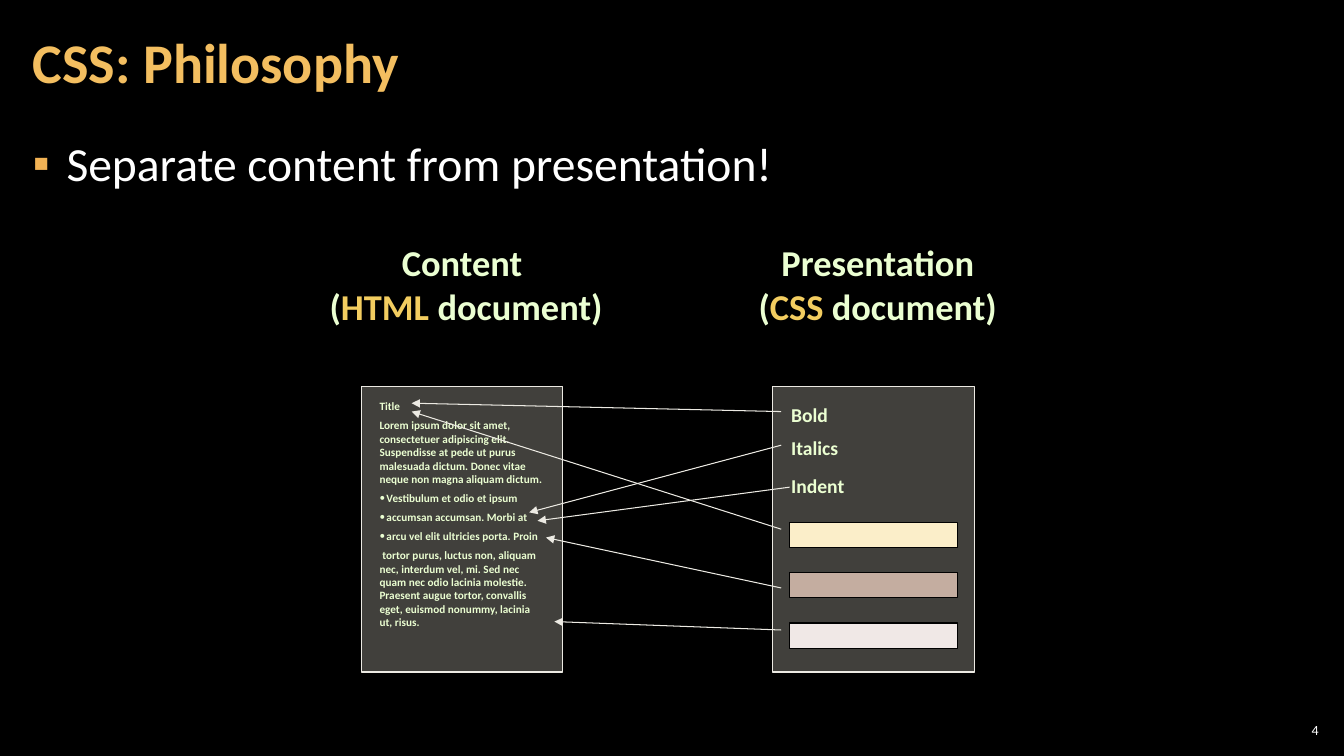
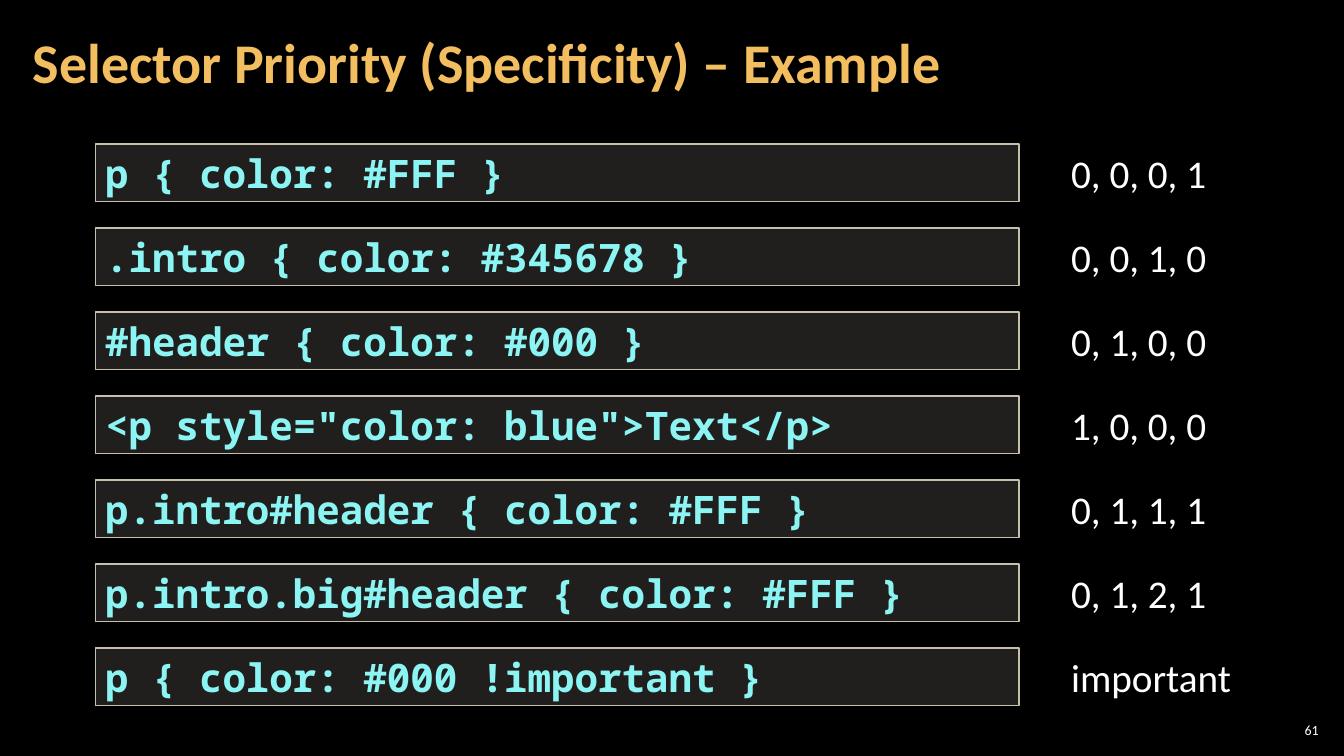
from pptx import Presentation
from pptx.dml.color import RGBColor
from pptx.enum.shapes import MSO_CONNECTOR, MSO_SHAPE
from pptx.enum.text import MSO_ANCHOR, PP_ALIGN
from pptx.oxml.ns import qn
from pptx.util import Pt
from lxml.etree import SubElement

INK = {
    "back": "000000", "title": "F3BE60", "bullet": "F2B254", "white": "FFFFFF",
    "label": "EBFFD2", "accent": "F3CD60", "panel": "D9D5C7", "edge": "ECEAE3",
    "code": "8CF4F2", "frame": "C7BFAC",
    "cream": "FBEEC9", "tan": "C4ADA0", "pale": "F0E8E6",
}
SANS, MONO = "Calibri", "Noto Sans Mono"

LOREM = [
    ("Title", 0, 0, None),
    ("Lorem ipsum dolor sit amet, consectetuer adipiscing elit. Suspendisse at pede "
     "ut purus malesuada dictum. Donec vitae neque non magna aliquam dictum.", 0, 0, None),
    ("Vestibulum et odio et ipsum", 5, -5, "•"),
    ("accumsan accumsan. Morbi at", 5, -5, "•"),
    ("arcu vel elit ultricies porta. Proin", 5, -5, "•"),
    ("tortor purus, luctus non, aliquam nec, interdum vel, mi. Sed nec quam nec odio "
     "lacinia molestie. Praesent augue tortor, convallis eget, euismod nonummy, "
     "lacinia ut, risus.", 0, 2, None),
]
LABELS = [("Bold", 8), ("Italics", 32), ("Indent", 59)]
BARS = ["cream", "tan", "pale"]
ARROWS = [
    (300, 18, 36, 12), (300, 42, 120, 90), (306, 72, 126, 96),
    (300, 102, 36, 18), (300, 144, 132, 108), (300, 174, 138, 168),
]
RULES = [
    ("p { color: #FFF }", "0, 0, 0, 1"),
    (".intro { color: #345678 }", "0, 0, 1, 0"),
    ("#header { color: #000 }", "0, 1, 0, 0"),
    ('<p style="color: blue">Text</p>', "1, 0, 0, 0"),
    ("p.intro#header { color: #FFF }", "0, 1, 1, 1"),
    ("p.intro.big#header { color: #FFF }", "0, 1, 2, 1"),
    ("p { color: #000 !important }", "important"),
]


def rgb(name):
    return RGBColor.from_string(INK[name])


def style(frame, size, color, bold=False, font=SANS, align=PP_ALIGN.LEFT):
    for para in frame.paragraphs:
        para.alignment = align
        for run in para.runs:
            run.font.size = Pt(size)
            run.font.name = font
            run.font.bold = bold
            run.font.color.rgb = rgb(color)


def pad(frame, side, edge):
    frame.margin_left = frame.margin_right = Pt(side)
    frame.margin_top = frame.margin_bottom = Pt(edge)


def place(shape, left, top, width, height):
    shape.left, shape.top = Pt(left), Pt(top)
    shape.width, shape.height = Pt(width), Pt(height)


def indent(para, left, first, mark=None, color=None):
    props = para._p.get_or_add_pPr()
    props.set("marL", str(Pt(left)))
    props.set("indent", str(Pt(first)))
    if color:
        tint = SubElement(props, qn("a:buClr"))
        SubElement(tint, qn("a:srgbClr"), val=INK[color])
    if mark:
        SubElement(props, qn("a:buFont"), typeface=SANS)
        SubElement(props, qn("a:buChar"), char=mark)


def note(slide, box, text, size, color, **look):
    shape = slide.shapes.add_textbox(*map(Pt, box))
    frame = shape.text_frame
    frame.word_wrap = True
    frame.text = text
    style(frame, size, color, **look)
    return frame


def panel(slide, box, fill, line, width=0.75, alpha=None):
    shape = slide.shapes.add_shape(MSO_SHAPE.RECTANGLE, *map(Pt, box))
    shape.shadow.inherit = False
    shape.fill.solid()
    shape.fill.fore_color.rgb = rgb(fill)
    if alpha:
        tint = shape._element.spPr.find(qn("a:solidFill")).find(qn("a:srgbClr"))
        SubElement(tint, qn("a:alpha"), val=str(alpha * 1000))
    shape.line.color.rgb = rgb(line)
    shape.line.width = Pt(width)
    return shape


def arrow(slide, start, end):
    line = slide.shapes.add_connector(MSO_CONNECTOR.STRAIGHT, *map(Pt, start + end))
    line.line.color.rgb = rgb("edge")
    line.line.width = Pt(0.75)
    props = line._element.spPr
    SubElement(props.find(qn("a:ln")), qn("a:tailEnd"), type="triangle")
    SubElement(props, qn("a:effectLst"))


def base(deck, layout, title, number):
    slide = deck.slides.add_slide(deck.slide_layouts[layout])
    head = slide.shapes.title
    place(head, 15, 3, 754, 87)
    frame = head.text_frame
    frame.text = title
    frame.vertical_anchor = MSO_ANCHOR.MIDDLE
    frame.paragraphs[0].line_spacing = 0.9
    pad(frame, 8.5, 3)
    style(frame, 40, "title", bold=True)
    page = note(slide, (911, 514, 34, 15), number, 10, "white", align=PP_ALIGN.RIGHT)
    page.vertical_anchor = MSO_ANCHOR.MIDDLE
    pad(page, 3, 3)
    return slide


def points(slide, box, text):
    body = slide.placeholders[1]
    place(body, *box)
    frame = body.text_frame
    frame.text = text
    pad(frame, 8.5, 3)
    style(frame, 34, "white")
    for para in frame.paragraphs:
        para.line_spacing = 1.05
        para.space_before = para.space_after = Pt(6)
        indent(para, 24, -24, "▪", "bullet")


def sheet(slide, box, head, kind, tail):
    left, top, width, height = box
    panel(slide, box, "panel", "edge", alpha=30)
    frame = note(slide, (left - 31, top - 108, width + 68, 70), head, 26, "label")
    frame.word_wrap = False
    para = frame.add_paragraph()
    for part in ("(", kind, tail):
        para.add_run().text = part
    style(frame, 26, "label", bold=True, align=PP_ALIGN.CENTER)
    para.runs[1].font.color.rgb = rgb("accent")


def content(slide, box):
    left, top, width, height = box
    sheet(slide, box, "Content ", "HTML", " document)")
    text = "\n".join(row[0] for row in LOREM)
    frame = note(slide, (left + 6, top + 6, width - 12, 177), text, 8, "label", bold=True)
    for spot, (para, row) in enumerate(zip(frame.paragraphs, LOREM)):
        para.space_before = Pt(4 if spot else 0)
        indent(para, *row[1:])


def looks(slide, box):
    left, top, width, height = box
    sheet(slide, box, "Presentation", "CSS ", "document)")
    for spot, color in enumerate(BARS):
        panel(slide, (left + 12, top + 97 + 36 * spot, 120, 18), color, "back")
    for text, drop in LABELS:
        note(slide, (left + 6, top + drop, 80, 24), text, 14, "label", bold=True)


def split(slide, left, top):
    content(slide, (left, top, 144, 204))
    looks(slide, (left + 294, top, 144, 204))
    for x1, y1, x2, y2 in ARROWS:
        arrow(slide, (left + x1, top + y1), (left + x2, top + y2))


def ranks(slide, left, top):
    for spot, (code, rank) in enumerate(RULES):
        y = top + 60 * spot
        shape = panel(slide, (left, y, 660, 41), "panel", "frame", 1, 15)
        frame = shape.text_frame
        frame.text = code
        style(frame, 28, "code", bold=True, font=MONO)
        note(slide, (left + 690, y, 130, 41), rank, 28, "white")


def main():
    deck = Presentation()
    deck.slide_width, deck.slide_height = Pt(960), Pt(540)
    fill = deck.slide_master.background.fill
    fill.solid()
    fill.fore_color.rgb = rgb("back")

    slide = base(deck, 1, "CSS: Philosophy", "4")
    points(slide, (15, 91, 930, 438), "Separate content from presentation!")
    split(slide, 258, 276)

    slide = base(deck, 5, "Selector Priority (Specificity) – Example", "61")
    ranks(slide, 68, 103)

    deck.save("out.pptx")


if __name__ == "__main__":
    main()
